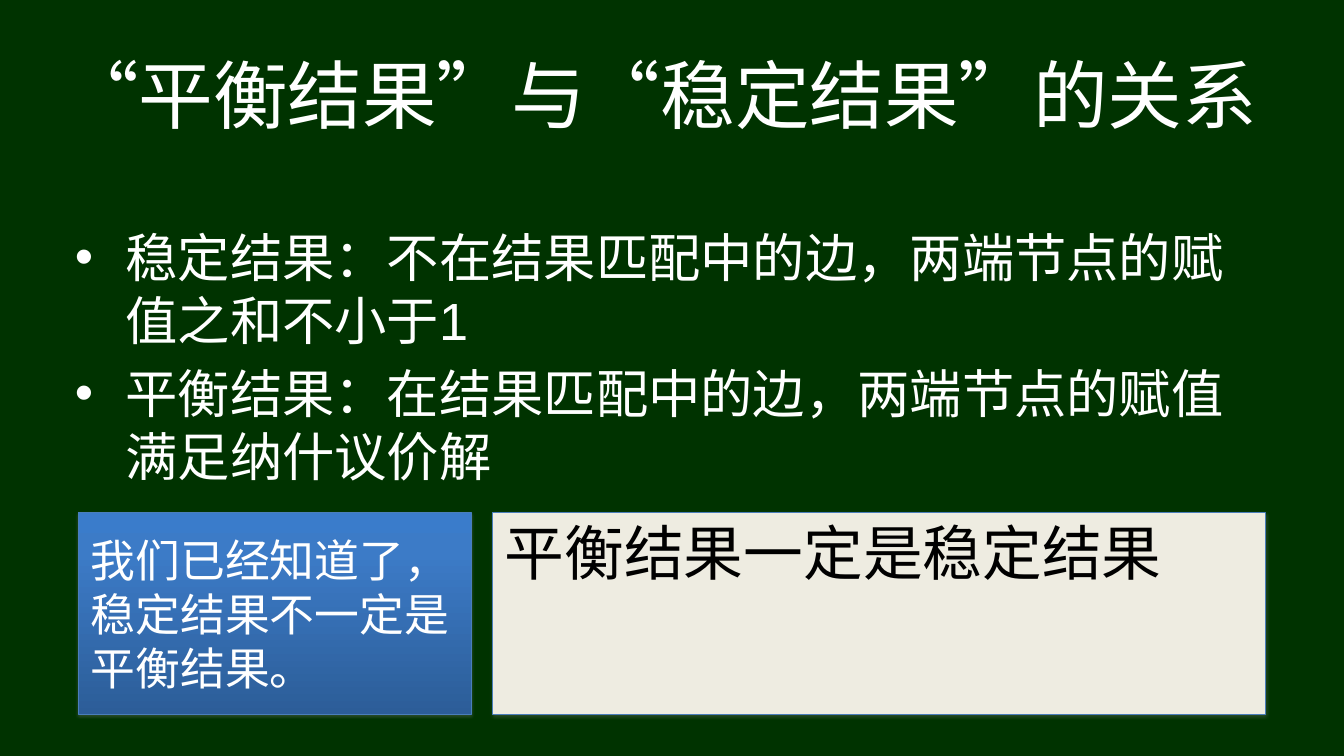
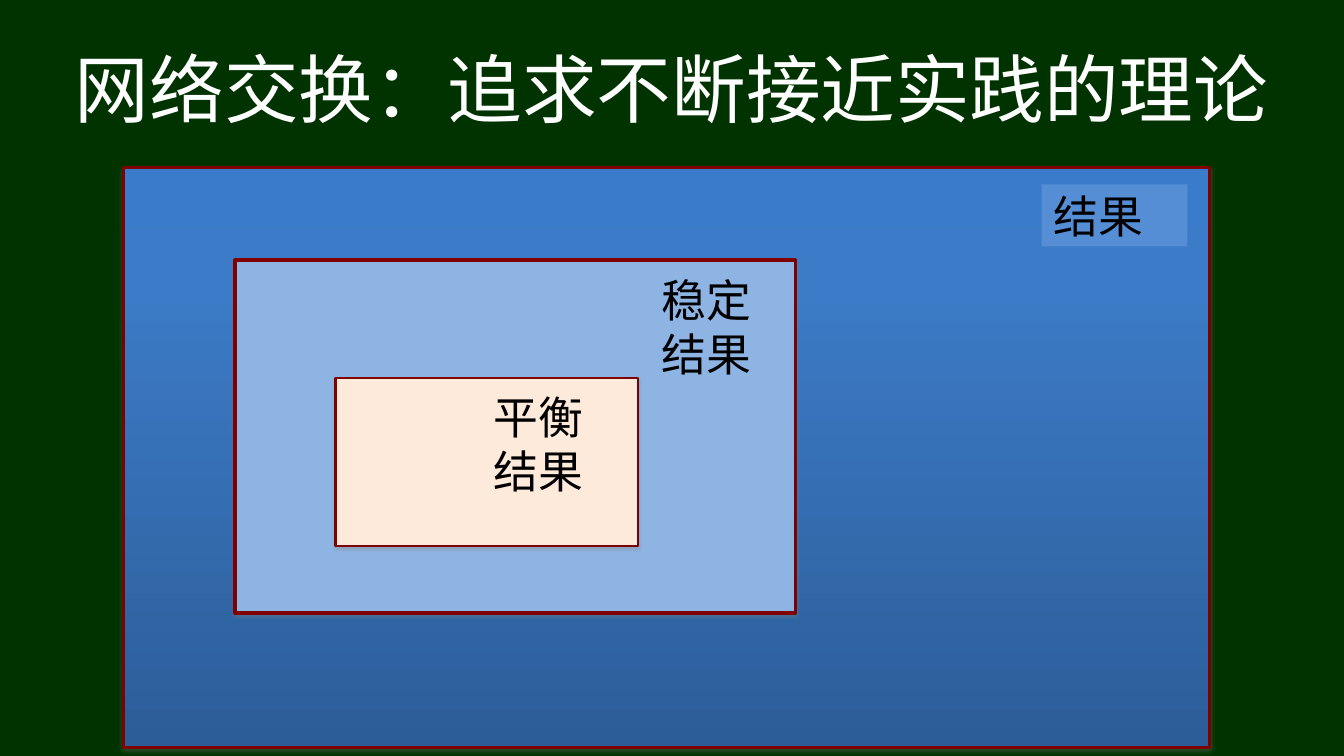
from dataclasses import dataclass
from typing import Optional

import lxml.etree
import pptx
import pptx.dml.color
import pptx.enum.lang
import pptx.enum.shapes
import pptx.enum.text
import pptx.oxml
import pptx.oxml.ns
import pptx.util
from pptx.util import Inches

# Shared look
COLORS = {
    "board": "003300", "white": "FFFFFF", "black": "000000",
    "cream": "EEECE1", "edge": "4A7EBB", "maroon": "800000",
    "light_blue": "8EB4E3", "peach": "FDEADA", "mid_blue": "558ED5",
    "shadow": "808080",
}
BLUE_FADE = ((0, "3A7CCB"), (20, "3C7BC7"), (100, "2C5D98"))
FONT = "Arial"
ANCHOR = pptx.enum.text.MSO_ANCHOR
ALIGN = pptx.enum.text.PP_ALIGN
NS = pptx.oxml.ns.nsdecls("a")
qn = pptx.oxml.ns.qn


@dataclass
class Box:
    left: float
    top: float
    width: float
    height: float
    fill: Optional[str] = None  # None means the blue gradient
    line: Optional[str] = None
    line_width: float = 0.75
    text: str = ""
    size: float = 42.7
    color: str = "black"
    anchor: ANCHOR = ANCHOR.TOP

    @property
    def frame(self) -> tuple:
        return tuple(Inches(v) for v in (self.left, self.top, self.width, self.height))


def rgb(name: str) -> pptx.dml.color.RGBColor:
    return pptx.dml.color.RGBColor.from_string(COLORS[name])


def write(p, text: str, size: float, color: str) -> None:
    r = p.add_run()
    r.text = text
    values = {"name": FONT, "size": pptx.util.Pt(size),
              "language_id": pptx.enum.lang.MSO_LANGUAGE_ID.SIMPLIFIED_CHINESE}
    for key, value in values.items():
        setattr(r.font, key, value)
    r.font.color.rgb = rgb(color)


def indent(p, margin: float, first: float = 0) -> None:
    pPr = p._p.get_or_add_pPr()
    pPr.set("marL", str(Inches(margin)))
    pPr.set("indent", str(Inches(first)))


def format_frame(tf, anchor: ANCHOR) -> None:
    values = {"word_wrap": True, "vertical_anchor": anchor,
              "auto_size": pptx.enum.text.MSO_AUTO_SIZE.NONE}
    for key, value in values.items():
        setattr(tf, key, value)


def place(sp, box: Box) -> None:
    for key, value in zip(("left", "top", "width", "height"), box.frame):
        setattr(sp, key, value)


def add_title(s, box: Box) -> None:
    sp = s.shapes.title
    place(sp, box)
    format_frame(sp.text_frame, ANCHOR.MIDDLE)
    p = sp.text_frame.paragraphs[0]
    p.alignment = ALIGN.CENTER
    write(p, box.text, 71.1, "white")


def add_list(s, box: Box, items: list[str]) -> None:
    sp = s.placeholders[1]
    place(sp, box)
    tf = sp.text_frame
    format_frame(tf, ANCHOR.TOP)
    for i, item in enumerate(items):
        p = tf.add_paragraph() if i else tf.paragraphs[0]
        p.space_before = pptx.util.Pt(10)
        indent(p, 0.67, -0.67)
        bullet = lxml.etree.SubElement(p._p.get_or_add_pPr(), qn("a:buChar"))
        bullet.set("char", "•")
        write(p, item, box.size, box.color)


def fade(sp) -> None:
    sp.fill.gradient()
    sp.fill.gradient_angle = 270
    stops = sp._element.spPr.find(".//" + qn("a:gsLst"))
    for stop in list(stops):
        stops.remove(stop)
    for position, color in BLUE_FADE:
        stops.append(pptx.oxml.parse_xml(
            f'<a:gs {NS} pos="{position * 1000}"><a:srgbClr val="{color}"/></a:gs>'))


def cast_shadow(sp) -> None:
    effects = sp._element.spPr.find(qn("a:effectLst"))
    effects.append(pptx.oxml.parse_xml(
        f'<a:outerShdw {NS} blurRad="{pptx.util.Pt(3.1)}" dist="{pptx.util.Pt(1.8)}" '
        f'dir="5400000" rotWithShape="0"><a:srgbClr val="{COLORS["shadow"]}">'
        f'<a:alpha val="35000"/></a:srgbClr></a:outerShdw>'))


def add_box(s, box: Box) -> None:
    sp = s.shapes.add_shape(pptx.enum.shapes.MSO_SHAPE.RECTANGLE, *box.frame)
    if box.fill:
        sp.fill.solid()
        sp.fill.fore_color.rgb = rgb(box.fill)
    else:
        fade(sp)
    sp.shadow.inherit = False
    if box.line:
        sp.line.color.rgb = rgb(box.line)
        sp.line.width = pptx.util.Pt(box.line_width)
        cast_shadow(sp)
    else:
        sp.line.fill.background()
    if box.text:
        format_frame(sp.text_frame, box.anchor)
        p = sp.text_frame.paragraphs[0]
        p.alignment = ALIGN.LEFT
        indent(p, 0.06)
        write(p, box.text, box.size, box.color)


def relation_slide(prs) -> None:
    s = prs.slides.add_slide(prs.slide_layouts[1])
    add_title(s, Box(0.59, 0.4, 16.3, 1.67, text="“平衡结果”与“稳定结果”的关系"))
    add_list(s, Box(0.89, 2.93, 16, 4.3, size=49.8, color="white"), [
        "稳定结果：不在结果匹配中的边，两端节点的赋值之和不小于1",
        "平衡结果：在结果匹配中的边，两端节点的赋值满足纳什议价解",
    ])
    add_box(s, Box(1.04, 6.78, 5.19, 2.67, line="edge", color="white", anchor=ANCHOR.MIDDLE,
                   text="我们已经知道了，稳定结果不一定是平衡结果。"))
    add_box(s, Box(6.52, 6.78, 10.22, 2.67, "cream", "edge", size=56.9,
                   text="平衡结果一定是稳定结果"))


def nesting_slide(prs) -> None:
    s = prs.slides.add_slide(prs.slide_layouts[5])
    add_title(s, Box(0.59, 0.44, 16.59, 1.44, text="网络交换：追求不断接近实践的理论"))
    # Nested sets, outermost first, then their labels
    sets = [
        Box(1.63, 2.22, 14.37, 7.67, None, "maroon", 3),
        Box(3.11, 3.44, 7.41, 4.67, "light_blue", "maroon", 3),
        Box(4.44, 5, 4, 2.22, "peach", "maroon", 2.25),
    ]
    labels = [
        Box(13.78, 2.44, 1.93, 0.82, "mid_blue", text="结果"),
        Box(8.59, 3.56, 1.78, 1.54, "light_blue", text="稳定结果"),
        Box(6.37, 5.11, 1.93, 1.54, "peach", text="平衡结果"),
    ]
    for box in sets + labels:
        add_box(s, box)


def main() -> None:
    prs = pptx.Presentation()
    prs.slide_width, prs.slide_height = Inches(17.78), Inches(10)
    background = prs.slide_master.background.fill
    background.solid()
    background.fore_color.rgb = rgb("board")
    relation_slide(prs)
    nesting_slide(prs)
    prs.save("out.pptx")


if __name__ == "__main__":
    main()
